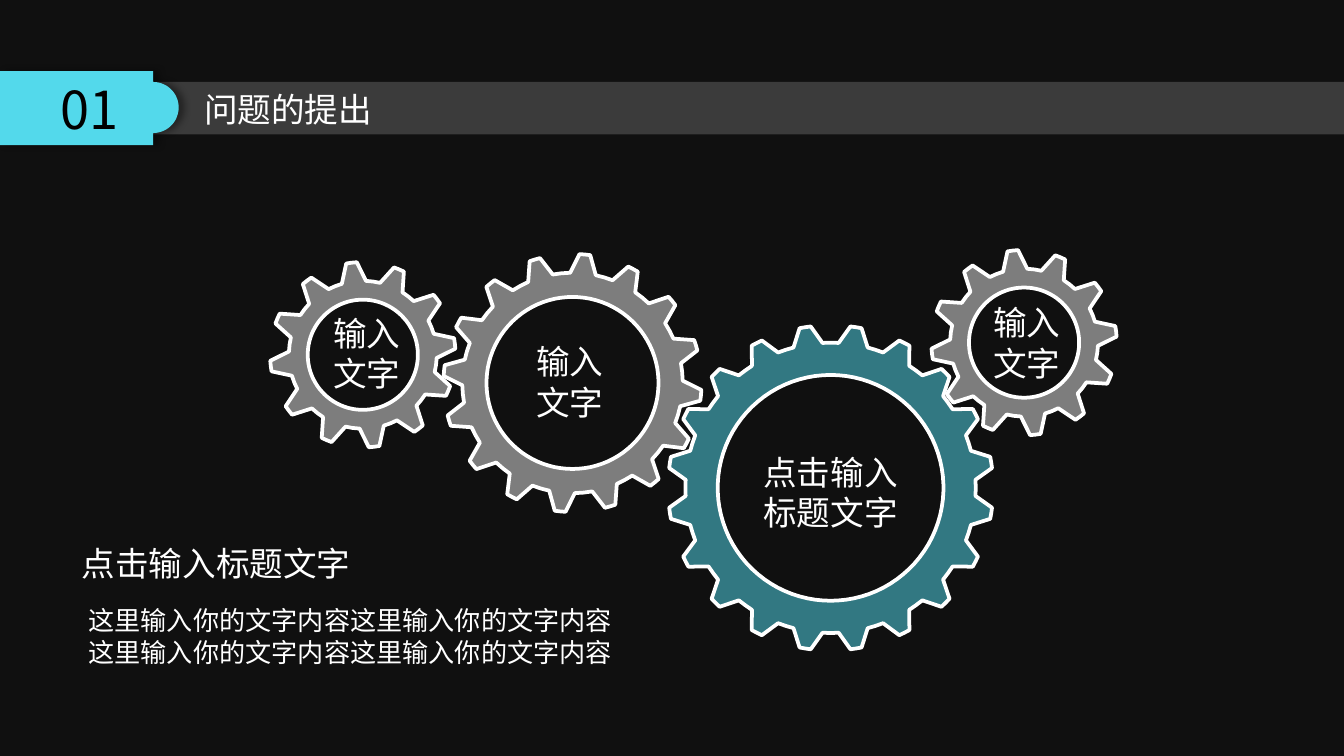
"""Build a dark section slide with four meshing gears and captions."""
import math
import lxml.etree
import pptx
import pptx.dml.color
import pptx.enum.shapes
import pptx.enum.text
import pptx.oxml.ns
import pptx.util

Inches = pptx.util.Inches
ALIGN = pptx.enum.text.PP_ALIGN
qn = pptx.oxml.ns.qn
COLORS = {"bg": "101010", "accent": "53D9EB", "white": "FFFFFF", "black": "000000"}
RGB = {k: pptx.dml.color.RGBColor.from_string(v) for k, v in COLORS.items()}


def write(tf, text, size=18, font="Noto Sans CJK SC", color="white", align=ALIGN.LEFT, wrap=True):
    tf.word_wrap = wrap
    for i, line in enumerate(text.split("\n")):
        p = tf.paragraphs[0] if i == 0 else tf.add_paragraph()
        p.alignment = align
        r = p.add_run()
        r.text = line
        r.font.size = pptx.util.Pt(size)
        r.font.name = font
        r.font.color.rgb = RGB[color]
        ea = lxml.etree.SubElement(r.font._element, qn("a:ea"))
        ea.set("typeface", font)


def paint(sp, color, alpha=100):
    sp.shadow.inherit = False
    sp.line.fill.background()
    sp.fill.solid()
    sp.fill.fore_color.rgb = RGB[color]
    if alpha < 100:
        clr = sp._element.spPr.find(qn("a:solidFill"))[0]
        lxml.etree.SubElement(clr, qn("a:alpha")).set("val", str(alpha * 1000))


prs = pptx.Presentation()
prs.slide_width, prs.slide_height = Inches(10), Inches(10 * 9 / 16)
s = prs.slides.add_slide(prs.slide_layouts[6])
s.background.fill.solid()
s.background.fill.fore_color.rgb = RGB["bg"]

bar = s.shapes.add_shape(pptx.enum.shapes.MSO_SHAPE.RECTANGLE, 0, Inches(0.61), Inches(10), Inches(0.39))
paint(bar, "white", 18)

arc = [(1.14 + 0.19 * math.sin(math.radians(a)), 0.8 - 0.19 * math.cos(math.radians(a)))
       for a in range(0, 181, 5)]
outline = [(0, 0.53), (1.14, 0.53), *arc, (1.14, 1.08), (0, 1.08)]
points = [(Inches(x), Inches(y)) for x, y in outline]
fb = s.shapes.build_freeform(*points[0])
fb.add_line_segments(points[1:])
tab = fb.convert_to_shape()
paint(tab, "accent")
shadow = lxml.etree.SubElement(tab._element.spPr.find(qn("a:effectLst")), qn("a:outerShdw"),
                               blurRad=str(pptx.util.Pt(4)), dist=str(pptx.util.Pt(3)), dir="0")
clr = lxml.etree.SubElement(shadow, qn("a:srgbClr"), val=COLORS["black"])
lxml.etree.SubElement(clr, qn("a:alpha"), val="40000")
tab.text_frame.vertical_anchor = pptx.enum.text.MSO_ANCHOR.MIDDLE
write(tab.text_frame, "01", size=28, font="Noto Sans CJK JP", color="black", align=ALIGN.CENTER)

gears = [
    (6.18, 3.63, 20, 9, 1.21, 1.08, 0.84, 2, 5.8, "accent", 52),
    (7.62, 2.55, 12, -7, 0.69, 0.55, 0.41, 3.3, 9.5, "white", 46),
    (4.26, 2.85, 16, 5.5, 0.96, 0.82, 0.64, 2.4, 6.7, "white", 46),
    (2.7, 2.64, 12, -7, 0.69, 0.55, 0.41, 3.3, 9.5, "white", 46),
]
for cx, cy, teeth, phase, tip, root, hole, tip_half, root_half, color, alpha in gears:
    step = 360 / teeth
    profile = [(-root_half, root), (-tip_half, tip), (0, tip), (tip_half, tip),
               (root_half, root), (step / 2, root)]
    rim = [(phase + i * step + a, rad) for i in range(teeth) for a, rad in profile]
    bore = [(a, hole) for a in range(360, 0, -4)]
    loops = [[(Inches(cx + rad * math.sin(math.radians(a))), Inches(cy - rad * math.cos(math.radians(a))))
              for a, rad in loop] for loop in (bore, rim)]
    fb = s.shapes.build_freeform(*loops[0][0])
    fb.add_line_segments(loops[0][1:])
    fb.move_to(*loops[1][0])
    fb.add_line_segments(loops[1][1:])
    gear = fb.convert_to_shape()
    paint(gear, color, alpha)
    gear.line.color.rgb = RGB["white"]
    gear.line.width = pptx.util.Pt(2)

body = "\n".join(["这里输入你的文字内容这里输入你的文字内容"] * 2)
texts = [
    (1.42, 0.61, 1.46, 0.4, "问题的提出", {"wrap": False}),
    (0.51, 3.99, 2.22, 0.4, "点击输入标题文字", {"wrap": False}),
    (0.56, 4.45, 4.35, 0.57, body, {"size": 14}),
    (5.51, 3.31, 1.34, 0.71, "点击输入\n标题文字", {"align": ALIGN.CENTER}),
]
texts += [(x, y, 1.34, 0.71, "输入\n文字", {"align": ALIGN.CENTER})
          for x, y in [(3.57, 2.49), (6.97, 2.2), (2.06, 2.28)]]
for x, y, w, h, text, style in texts:
    tf = s.shapes.add_textbox(Inches(x), Inches(y), Inches(w), Inches(h)).text_frame
    tf.auto_size = pptx.enum.text.MSO_AUTO_SIZE.SHAPE_TO_FIT_TEXT
    write(tf, text, **style)

prs.save("out.pptx")
